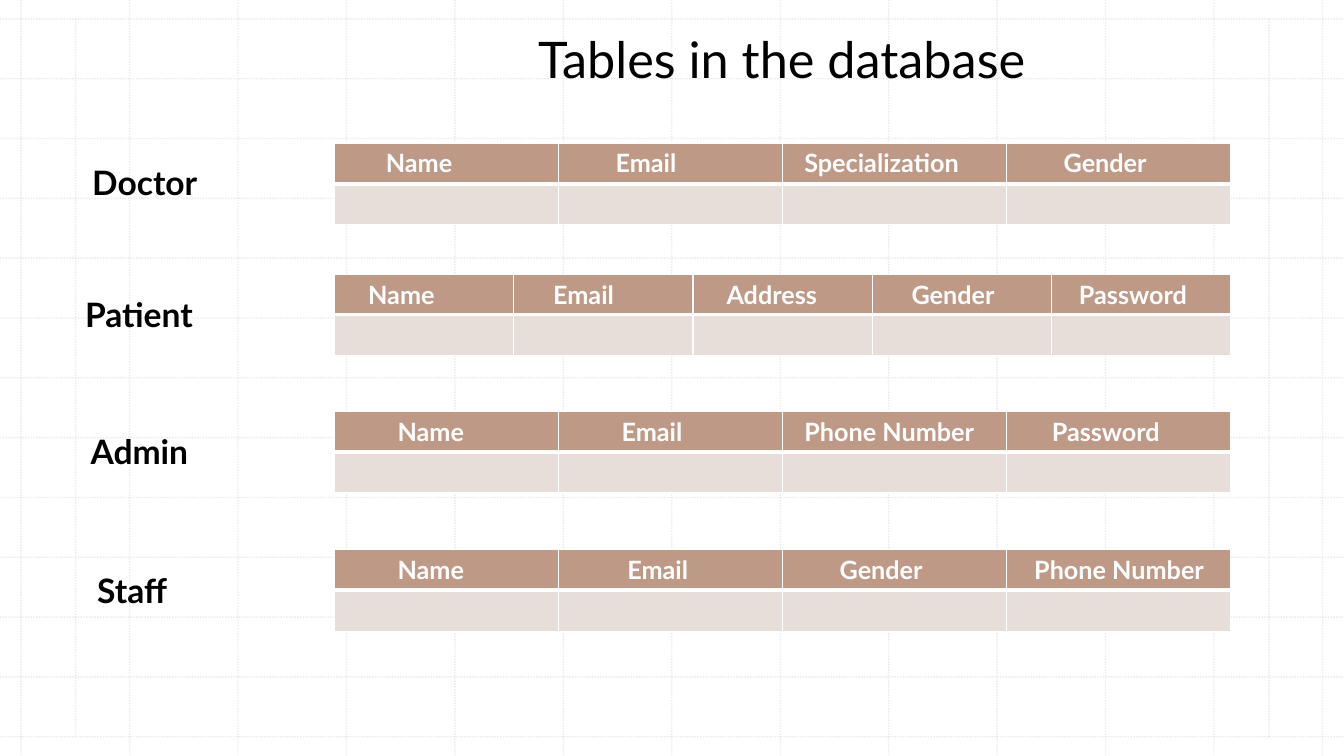
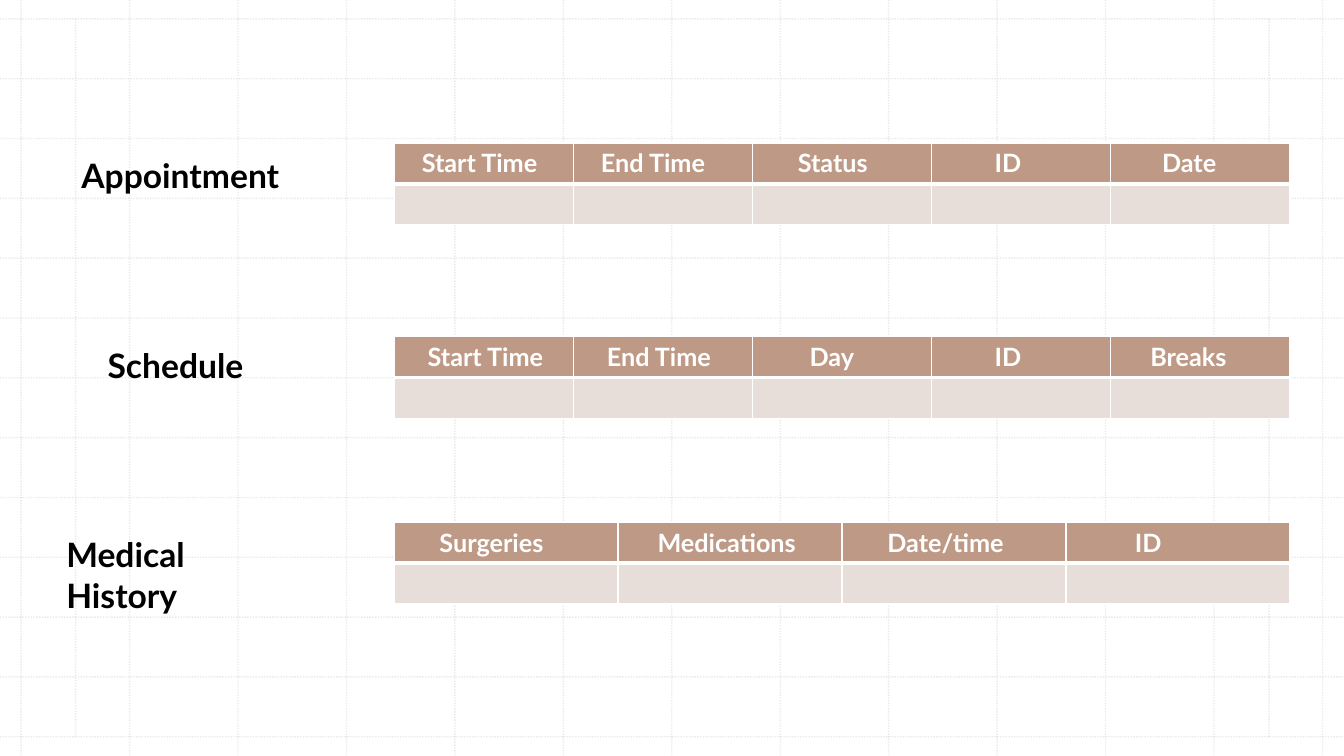
from lxml.etree import SubElement
from pptx import Presentation
from pptx.dml.color import RGBColor
from pptx.enum.dml import MSO_LINE
from pptx.enum.shapes import MSO_CONNECTOR as Connector
from pptx.oxml.ns import qn
from pptx.util import Pt

BLACK = RGBColor(0x00, 0x00, 0x00)
WHITE = RGBColor(0xFF, 0xFF, 0xFF)
GRID_GRAY = RGBColor(0xBC, 0xBC, 0xBC)
HEADER_BROWN = RGBColor(0xBE, 0x9A, 0x86)
ROW_BEIGE = RGBColor(0xE8, 0xDE, 0xD9)


class Deck:
    font = "Lato"
    width, height = 960, 540
    grid_left, grid_top = 15.1, 13.5
    grid_dx, grid_dy = 77.46, 42.73
    grid_steps = 12
    frame_xs = (54, 906.5)
    table_width = 640
    row_height = 29.2
    cell_margin = 7.2
    indent_step = 4.2

    def __init__(self):
        self.prs = Presentation()
        self.prs.slide_width = Pt(self.width)
        self.prs.slide_height = Pt(self.height)
        self.s = None

    def new_slide(self):
        self.s = self.prs.slides.add_slide(self.prs.slide_layouts[6])
        bottom = self.grid_top + self.grid_steps * self.grid_dy
        for i in range(self.grid_steps + 1):
            x = self.grid_left + i * self.grid_dx
            y = self.grid_top + i * self.grid_dy
            self.grid_line(x, 0, x, self.height)
            self.grid_line(0, y, self.width, y)
        for x in self.frame_xs:
            self.grid_line(x, self.grid_top, x, bottom)

    def grid_line(self, x1, y1, x2, y2):
        cx = self.s.shapes.add_connector(
            Connector.STRAIGHT, Pt(x1), Pt(y1), Pt(x2), Pt(y2))
        cx.line.color.rgb = GRID_GRAY
        cx.line.width = Pt(1)
        cx.line.dash_style = MSO_LINE.ROUND_DOT
        sp_pr = cx.element.spPr
        color = next(sp_pr.iter(qn("a:srgbClr")))
        SubElement(color, qn("a:alpha"), val="30000")
        SubElement(sp_pr, qn("a:effectLst"))

    def style(self, p, size, color, bold):
        p.font.name = self.font
        p.font.size = Pt(size)
        p.font.color.rgb = color
        p.font.bold = bold

    def text(self, text, left, top, width, height, size, bold):
        sp = self.s.shapes.add_textbox(
            Pt(left), Pt(top), Pt(width), Pt(height))
        tf = sp.text_frame
        tf.word_wrap = True
        p = tf.paragraphs[0]
        p.text = text
        self.style(p, size, BLACK, bold)

    def title(self, text):
        self.text(text, 377.3, 16.6, 397.4, 51, 36, False)

    def label(self, text, left, top):
        self.text(text, left, top, 160, 36, 24, True)

    def borders(self, cell, top, bottom):
        tc_pr = cell._tc.get_or_add_tcPr()
        for side, width in (("L", 1), ("R", 1), ("T", top), ("B", bottom)):
            ln = SubElement(tc_pr, qn(f"a:ln{side}"), w=str(Pt(width)))
            fill = SubElement(ln, qn("a:solidFill"))
            SubElement(fill, qn("a:srgbClr"), val=str(WHITE))

    def paint(self, cell, fill, top, bottom):
        self.borders(cell, top, bottom)
        cell.fill.solid()
        cell.fill.fore_color.rgb = fill
        self.style(cell.text_frame.paragraphs[0], 18, WHITE, True)

    def table(self, left, top, columns, header_height=row_height):
        frame = self.s.shapes.add_table(
            2, len(columns), Pt(left), Pt(top),
            Pt(self.table_width), Pt(header_height + self.row_height))
        table = frame.table
        table.rows[0].height = Pt(header_height)
        table.rows[1].height = Pt(self.row_height)
        for i, (name, indent) in enumerate(columns):
            table.columns[i].width = Pt(self.table_width / len(columns))
            header, empty = table.cell(0, i), table.cell(1, i)
            header.text = name
            header.margin_left = Pt(
                self.cell_margin + indent * self.indent_step)
            header.margin_right = 0
            self.paint(header, HEADER_BROWN, 1, 3)
            self.paint(empty, ROW_BEIGE, 3, 1)

    def save(self):
        self.prs.save("out.pptx")


def people_slide(deck):
    left = 239
    deck.new_slide()
    deck.title("Tables in the database")
    deck.label("Doctor", 58.8, 112.3)
    deck.table(left, 102.2, [
        ("Name", 7), ("Email", 8), ("Specialization", 2), ("Gender", 8)])
    deck.label("Patient", 53.7, 206.6)
    deck.table(left, 195.8, [
        ("Name", 4), ("Email", 5), ("Address", 4), ("Gender", 5),
        ("Password", 3)], header_height=26.6)
    deck.label("Admin", 57.6, 304.6)
    deck.table(left, 293.8, [
        ("Name", 9), ("Email", 9), ("Phone Number", 2), ("Password", 6)])
    deck.label("Staff", 62.4, 403.2)
    deck.table(left, 392.4, [
        ("Name", 9), ("Email", 10), ("Gender", 8), ("Phone Number", 3)])


def records_slide(deck):
    left = 281.5
    deck.new_slide()
    deck.label("Appointment", 51.1, 107.3)
    deck.table(left, 102.2, [
        ("Start Time", 3), ("End Time", 3), ("Status", 6), ("ID", 9),
        ("Date", 7)])
    deck.label("Schedule", 69.8, 242.6)
    deck.table(left, 240.5, [
        ("Start Time", 4), ("End Time", 4), ("Day", 8), ("ID", 9),
        ("Breaks", 5)])
    deck.label("Medical History", 40.3, 378)
    deck.table(left, 373, [
        ("Surgeries", 6), ("Medications", 5), ("Date/time", 6), ("ID", 10)])


def main():
    deck = Deck()
    people_slide(deck)
    records_slide(deck)
    deck.save()


if __name__ == "__main__":
    main()
